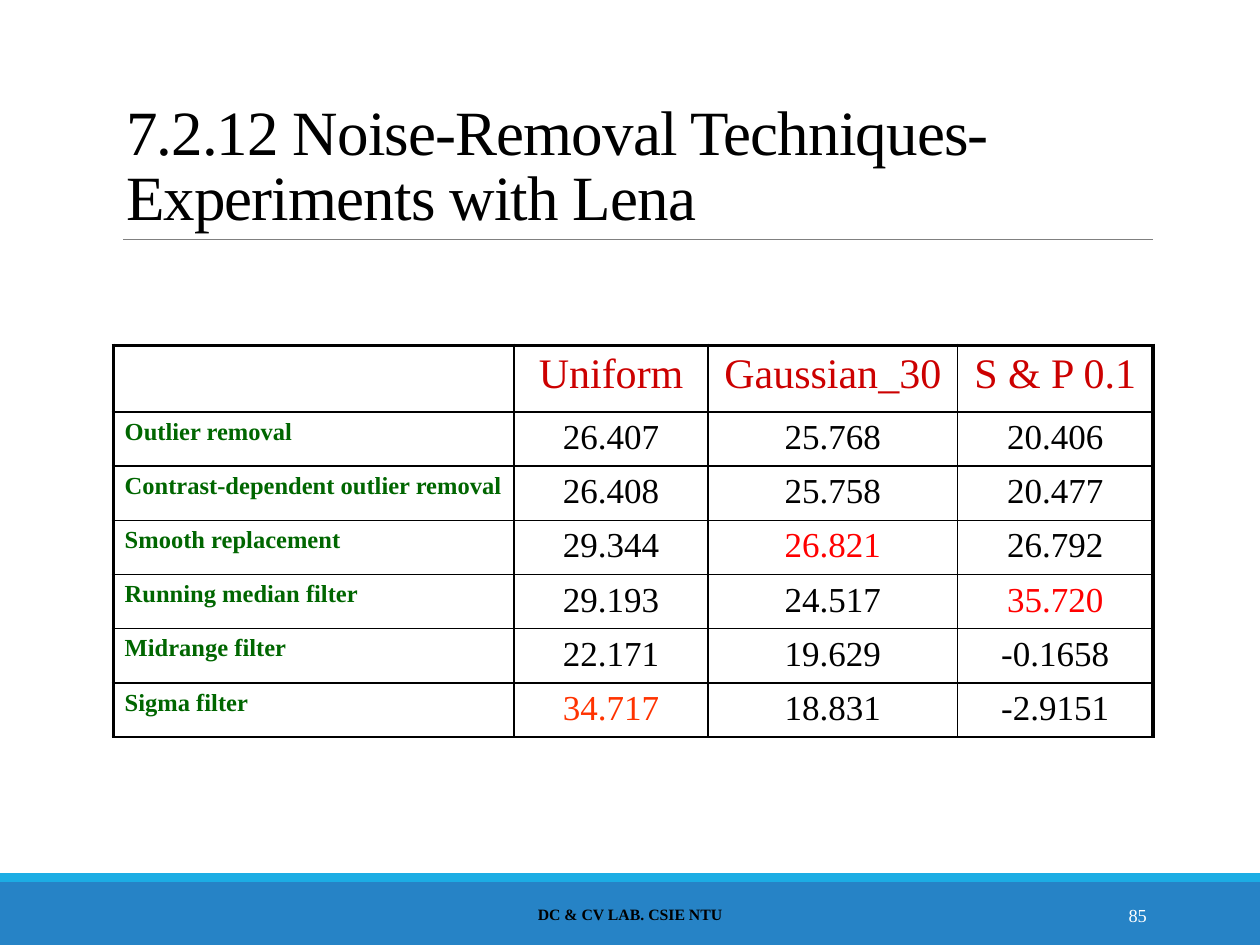
import dataclasses
import typing

import lxml.etree
import pptx
import pptx.dml.color
import pptx.enum.shapes
import pptx.enum.text
import pptx.oxml.ns
import pptx.util

Inches = pptx.util.Inches
Pt = pptx.util.Pt
Align = pptx.enum.text.PP_ALIGN
Anchor = pptx.enum.text.MSO_ANCHOR


@dataclasses.dataclass(frozen=True)
class Theme:
    face: str = "Times New Roman"
    ink: str = "000000"
    white: str = "FFFFFF"
    rule: str = "808080"
    band: str = "2683C6"
    strip: str = "1CADE4"
    head: str = "CC0000"
    label: str = "006600"
    best: str = "FF0000"
    peak: str = "FF3300"
    title_pt: float = 36
    head_pt: float = 24
    value_pt: float = 20
    label_pt: float = 14
    foot_pt: float = 9
    page_pt: float = 10.5
    thin: float = 1
    thick: float = 2.25


class Box(typing.NamedTuple):
    left: float
    top: float
    width: float
    height: float


class Style(typing.NamedTuple):
    size: float
    color: str
    bold: bool = False
    align: typing.Any = Align.LEFT


class Bar(typing.NamedTuple):
    box: Box
    color: str


class Note(typing.NamedTuple):
    box: Box
    text: str
    style: Style


THEME = Theme()
BARS = [
    Bar(Box(0, 7, 10, 0.5), THEME.band),
    Bar(Box(0, 6.93, 10, 0.07), THEME.strip),
]
NOTES = [
    Note(Box(3.02, 7.06, 3.96, 0.4), "DC & CV LAB. CSIE NTU",
         Style(THEME.foot_pt, THEME.ink, True, Align.CENTER)),
    Note(Box(8.12, 7.06, 1.08, 0.4), "85",
         Style(THEME.page_pt, THEME.white, False, Align.RIGHT)),
]
TITLE = "7.2.12 Noise-Removal Techniques-Experiments with Lena"
GRID = Box(0.9, 2.74, 8.25, 3.13)
WIDTHS = [3.18, 1.54, 1.98, 1.55]
HEIGHTS = [0.53] + [0.43] * 6
ROWS = [
    ["", "Uniform", "Gaussian_30", "S & P 0.1"],
    ["Outlier removal", "26.407", "25.768", "20.406"],
    ["Contrast-dependent outlier removal", "26.408", "25.758", "20.477"],
    ["Smooth replacement", "29.344", "26.821", "26.792"],
    ["Running median filter", "29.193", "24.517", "35.720"],
    ["Midrange filter", "22.171", "19.629", "-0.1658"],
    ["Sigma filter", "34.717", "18.831", "-2.9151"],
]
MARKS = {(3, 2): THEME.best, (4, 3): THEME.best, (6, 1): THEME.peak}


def tint(code: str) -> pptx.dml.color.RGBColor:
    return pptx.dml.color.RGBColor.from_string(code)


def span(box: Box) -> list:
    return [Inches(size) for size in box]


def write(frame, text: str, style: Style):
    para = frame.paragraphs[0]
    para.alignment = style.align
    run = para.add_run()
    run.text = text
    run.font.name = THEME.face
    run.font.size = Pt(style.size)
    run.font.bold = style.bold
    run.font.color.rgb = tint(style.color)
    return run


def draw_bar(slide, bar: Bar) -> None:
    kind = pptx.enum.shapes.MSO_SHAPE.RECTANGLE
    shape = slide.shapes.add_shape(kind, *span(bar.box))
    shape.shadow.inherit = False
    shape.fill.solid()
    shape.fill.fore_color.rgb = tint(bar.color)
    shape.line.fill.background()


def draw_rule(slide) -> None:
    kind = pptx.enum.shapes.MSO_CONNECTOR.STRAIGHT
    ends = span(Box(0.98, 1.9, 9.15, 1.9))
    line = slide.shapes.add_connector(kind, *ends)
    line.line.color.rgb = tint(THEME.rule)
    line.line.width = Pt(0.5)
    props = line._element.spPr
    lxml.etree.SubElement(props, pptx.oxml.ns.qn("a:effectLst"))


def draw_title(slide) -> None:
    shape = slide.shapes.title
    shape.left, shape.top, shape.width, shape.height = span(
        Box(0.9, 0.31, 8.25, 1.59))
    frame = shape.text_frame
    frame.word_wrap = True
    frame.auto_size = pptx.enum.text.MSO_AUTO_SIZE.NONE
    frame.vertical_anchor = Anchor.BOTTOM
    run = write(frame, TITLE, Style(THEME.title_pt, THEME.ink))
    run._r.get_or_add_rPr().set("spc", "-50")
    frame.paragraphs[0].line_spacing = 0.85


def draw_note(slide, note: Note) -> None:
    frame = slide.shapes.add_textbox(*span(note.box)).text_frame
    frame.word_wrap = True
    frame.vertical_anchor = Anchor.MIDDLE
    write(frame, note.text, note.style)


def edge(cell, sides: dict[str, float]) -> None:
    name = pptx.oxml.ns.qn
    props = cell._tc.get_or_add_tcPr()
    for spot, (side, width) in enumerate(sides.items()):
        line = lxml.etree.Element(name(f"a:ln{side}"), w=str(Pt(width)))
        fill = lxml.etree.SubElement(line, name("a:solidFill"))
        lxml.etree.SubElement(fill, name("a:srgbClr"), val=THEME.ink)
        props.insert(spot, line)


def pick(row: int, col: int) -> Style:
    if row == 0:
        return Style(THEME.head_pt, THEME.head, align=Align.CENTER)
    if col == 0:
        return Style(THEME.label_pt, THEME.label, True)
    color = MARKS.get((row, col), THEME.ink)
    return Style(THEME.value_pt, color, align=Align.CENTER)


def draw_grid(slide) -> None:
    frame = slide.shapes.add_table(len(ROWS), len(WIDTHS), *span(GRID))
    table = frame.table
    table.first_row = table.horz_banding = False
    for col, width in zip(table.columns, WIDTHS):
        col.width = Inches(width)
    for row, height in zip(table.rows, HEIGHTS):
        row.height = Inches(height)
    last = len(WIDTHS) - 1
    for row, texts in enumerate(ROWS):
        for col, text in enumerate(texts):
            cell = table.cell(row, col)
            cell.fill.background()
            cell.margin_left = cell.margin_right = Inches(0.09)
            cell.margin_top = cell.margin_bottom = Inches(0.05)
            edge(cell, {
                "L": THEME.thick if col == 0 else THEME.thin,
                "R": THEME.thick if col == last else THEME.thin,
                "T": THEME.thick if row == 0 else THEME.thin,
                "B": THEME.thin,
            })
            if text:
                write(cell.text_frame, text, pick(row, col))


def main() -> None:
    """Build the slide comparing noise-removal filters and save it."""
    deck = pptx.Presentation()
    deck.slide_width, deck.slide_height = Inches(10), Inches(7.5)
    slide = deck.slides.add_slide(deck.slide_layouts[5])
    for bar in BARS:
        draw_bar(slide, bar)
    draw_rule(slide)
    draw_title(slide)
    draw_grid(slide)
    for note in NOTES:
        draw_note(slide, note)
    deck.save("out.pptx")


if __name__ == "__main__":
    main()
